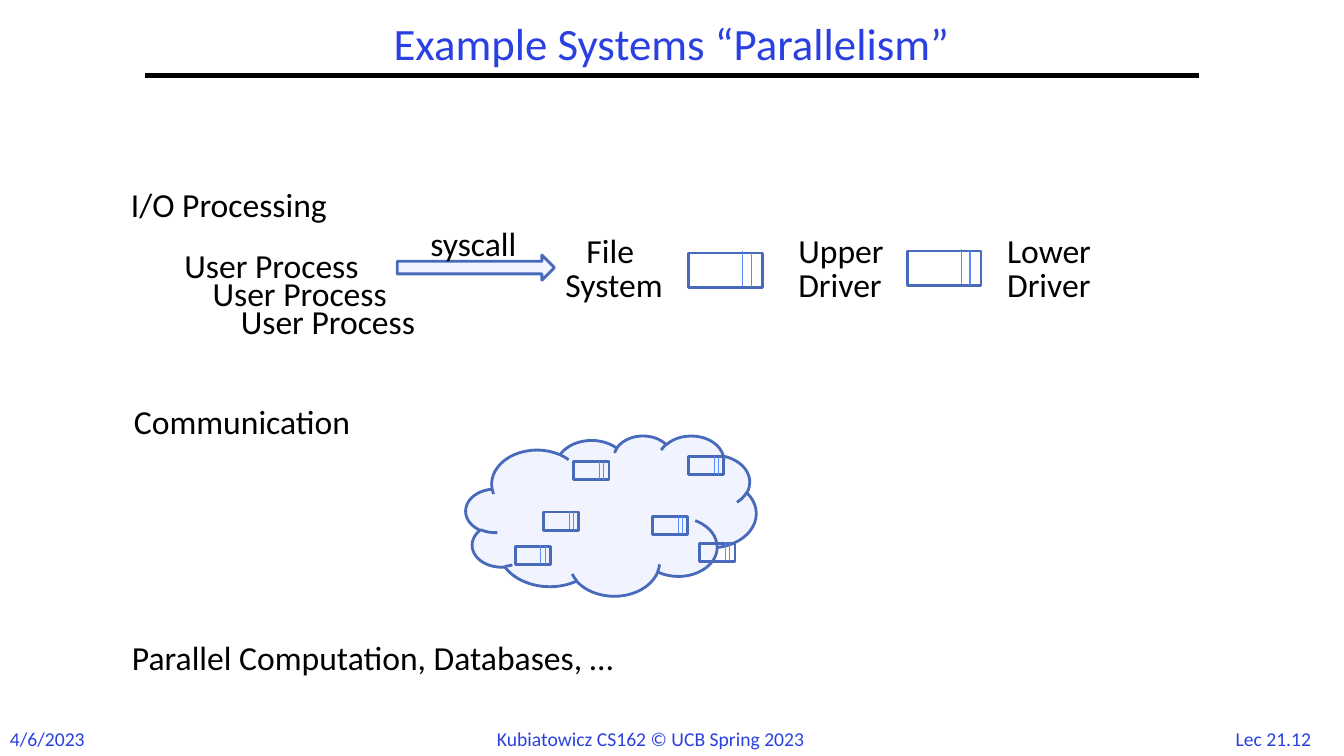
import pptx
import pptx.dml.color
import pptx.enum.shapes
import pptx.enum.text
import pptx.oxml
import pptx.util
from pptx.util import Inches

RGBColor = pptx.dml.color.RGBColor
ALIGN = pptx.enum.text.PP_ALIGN
SHAPE = pptx.enum.shapes.MSO_SHAPE

BLUE = RGBColor(0x2A, 0x40, 0xE2)
BLACK = RGBColor(0x00, 0x00, 0x00)
OUTLINE = RGBColor(0x48, 0x6A, 0xBB)
TICK = RGBColor(0x5B, 0x8A, 0xFB)
PALE = RGBColor(0xF1, 0xF4, 0xFF)


def write(frame, text, size=24, color=BLACK, align=ALIGN.LEFT, spacing=None):
    frame.word_wrap = True
    frame.text = text
    for paragraph in frame.paragraphs:
        paragraph.alignment = align
        paragraph.line_spacing = spacing
        paragraph.font.name = "Calibri"
        paragraph.font.size = pptx.util.Pt(size)
        paragraph.font.color.rgb = color


def draw_line(shapes, x1, y1, x2, y2, color, width):
    line = shapes.add_connector(
        pptx.enum.shapes.MSO_CONNECTOR.STRAIGHT,
        Inches(x1), Inches(y1), Inches(x2), Inches(y2))
    line.line.color.rgb = color
    line.line.width = pptx.util.Pt(width)
    line._element.spPr.append(pptx.oxml.parse_xml(
        '<a:effectLst xmlns:a="http://schemas.openxmlformats.org/drawingml/2006/main"/>'))


deck = pptx.Presentation()
deck.slide_width = Inches(13.33)
deck.slide_height = Inches(7.5)
slide = deck.slides.add_slide(deck.slide_layouts[5])

# Title and rule
title = slide.shapes.title
title.left, title.top = Inches(1.44), Inches(0.17)
title.width, title.height = Inches(10.44), Inches(0.58)
write(title.text_frame, "Example Systems “Parallelism”", size=32, color=BLUE,
      align=ALIGN.CENTER, spacing=0.9)
title.text_frame.vertical_anchor = pptx.enum.text.MSO_ANCHOR.MIDDLE
draw_line(slide.shapes, 1.44, 0.75, 11.89, 0.75, BLACK, 3)

# System call arrow and network cloud
syscall_arrow = slide.shapes.add_shape(
    SHAPE.RIGHT_ARROW, Inches(3.94), Inches(2.53), Inches(1.56), Inches(0.25))
network = slide.shapes.add_shape(
    SHAPE.CLOUD, Inches(4.62), Inches(4.32), Inches(2.88), Inches(1.59))
for outlined in (syscall_arrow, network):
    outlined.shadow.inherit = False
    outlined.fill.solid()
    outlined.fill.fore_color.rgb = PALE
    outlined.line.color.rgb = OUTLINE
    outlined.line.width = pptx.util.Pt(2)

# Request queues: two between drivers, six inside the network
driver_queues = [(6.83, 2.51), (9, 2.49)]
network_queues = [(5.39, 5.08), (5.69, 4.58), (6.47, 5.12),
                  (6.83, 4.53), (5.11, 5.42), (6.94, 5.39)]
queues = ([(x, y, 0.73, 0.34) for x, y in driver_queues]
          + [(x, y, 0.35, 0.18) for x, y in network_queues])
for x, y, width, height in queues:
    queue = slide.shapes.add_group_shape()
    buffer = queue.shapes.add_shape(
        SHAPE.RECTANGLE, Inches(x), Inches(y), Inches(width), Inches(height))
    buffer.shadow.inherit = False
    buffer.fill.background()
    buffer.line.color.rgb = OUTLINE
    buffer.line.width = pptx.util.Pt(2)
    for across, lift in ((0.85, 0), (0.73, 0.05)):
        tick_x, tick_y = x + across * width, y - lift * height
        draw_line(queue.shapes, tick_x, tick_y, tick_x, tick_y + height, TICK, 0.75)

# Labels
labels = [
    ("I/O Processing", 1.2, 1.78, 2.41, 0.5, {}),
    ("syscall", 4.17, 2.16, 1.21, 0.5, {}),
    ("File \nSystem", 5.43, 2.29, 1.32, 0.79, {"align": ALIGN.CENTER, "spacing": 0.85}),
    ("Upper Driver", 7.82, 2.29, 1.43, 0.79, {"spacing": 0.85}),
    ("Lower Driver", 9.89, 2.29, 1.39, 0.79, {"spacing": 0.85}),
    ("Communication", 1.23, 3.93, 2.54, 0.5, {}),
    ("Parallel Computation, Databases, …", 1.21, 6.27, 5.65, 0.5, {}),
    ("4/6/2023", 0, 7.16, 0.96, 0.34, {"size": 14, "color": BLUE}),
    ("Kubiatowicz CS162 © UCB Spring 2023", 4.83, 7.16, 3.68, 0.34,
     {"size": 14, "color": BLUE}),
    ("Lec 21.12", 12.09, 7.16, 1.08, 0.34,
     {"size": 14, "color": BLUE, "align": ALIGN.CENTER}),
]
labels += [("User Process", 1.73 + 0.28 * step, 2.38 + 0.28 * step, 2.22, 0.5, {})
           for step in range(3)]
for text, x, y, width, height, style in labels:
    label = slide.shapes.add_textbox(Inches(x), Inches(y), Inches(width), Inches(height))
    write(label.text_frame, text, **style)

deck.save("out.pptx")
